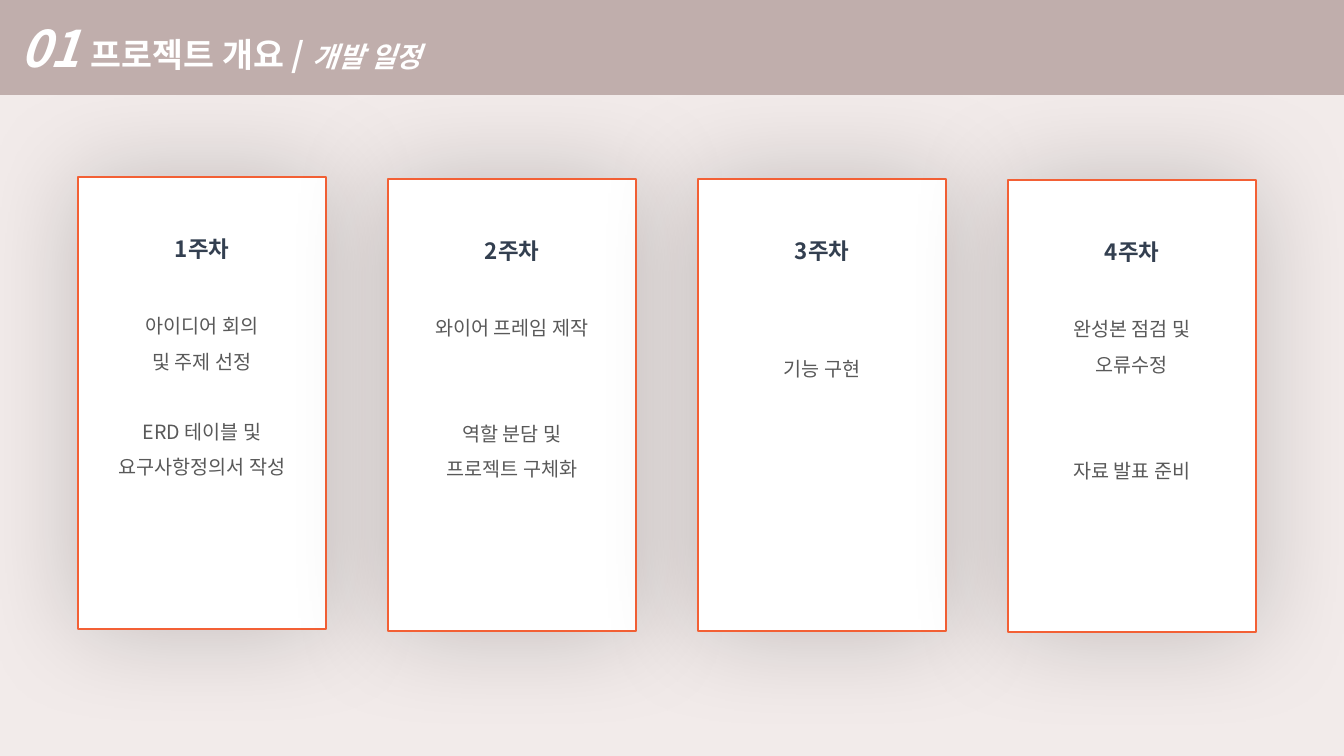
from lxml.etree import SubElement
from pptx import Presentation
from pptx.dml.color import RGBColor
from pptx.enum.shapes import MSO_SHAPE
from pptx.enum.text import MSO_ANCHOR, PP_ALIGN
from pptx.oxml.ns import qn
from pptx.util import Pt

PX = 914400 / 100.8
FONT = "Noto Sans CJK KR"


def color(value):
    return RGBColor.from_string(value)


def add_text(para, text, size, ink, bold=False, italic=False):
    span = para.add_run()
    span.text = text
    span.font.size = Pt(size)
    span.font.bold = bold
    span.font.italic = italic
    span.font.color.rgb = color(ink)
    span.font.name = FONT
    SubElement(span.font._element, qn("a:ea"), typeface=FONT)


deck = Presentation()
deck.slide_width = round(1344 * PX)
deck.slide_height = round(756 * PX)
page = deck.slides.add_slide(deck.slide_layouts[6])
page.background.fill.solid()
page.background.fill.fore_color.rgb = color("F2EBEA")

card_left, card_pitch, card_width, card_height = 78, 310, 248, 452
heading_offset = 40
weeks = [
    (177, "1주차", [("아이디어 회의", 28.8), ("및 주제 선정", 0),
                  ("ERD 테이블 및", 25.2), ("요구사항정의서 작성", 0)]),
    (179, "2주차", [("와이어 프레임 제작", 28.8), ("역할 분담 및", 50.4), ("프로젝트 구체화", 0)]),
    (179, "3주차", [("기능 구현", 57.6)]),
    (180, "4주차", [("완성본 점검 및", 28.8), ("오류수정", 0), ("자료 발표 준비", 50.4)]),
]

for index, (top, heading, tasks) in enumerate(weeks):
    left = card_left + index * card_pitch
    card = page.shapes.add_shape(
        MSO_SHAPE.RECTANGLE, round(left * PX), round(top * PX),
        round(card_width * PX), round(card_height * PX))
    card.fill.solid()
    card.fill.fore_color.rgb = color("FFFFFF")
    card.line.color.rgb = color("F36035")
    card.line.width = Pt(1)
    card.shadow.inherit = False
    effects = card._element.spPr.find(qn("a:effectLst"))
    glow = SubElement(effects, qn("a:outerShdw"), blurRad=str(Pt(76)), dist="0",
                      dir="0", algn="ctr", rotWithShape="0")
    shade = SubElement(glow, qn("a:srgbClr"), val="000000")
    SubElement(shade, qn("a:alpha"), val="20000")

    box = page.shapes.add_textbox(
        round(left * PX), round((top + heading_offset) * PX),
        round(card_width * PX), round((card_height - heading_offset) * PX))
    frame = box.text_frame
    frame.word_wrap = True
    para = frame.paragraphs[0]
    para.alignment = PP_ALIGN.CENTER
    para.line_spacing = 1.5
    add_text(para, heading, size=16, ink="333F50", bold=True)
    for task, gap in tasks:
        para = frame.add_paragraph()
        para.alignment = PP_ALIGN.CENTER
        para.line_spacing = 1.5
        para.space_before = Pt(gap)
        add_text(para, task, size=14, ink="595959")

banner = page.shapes.add_shape(MSO_SHAPE.RECTANGLE, 0, 0, deck.slide_width, round(95 * PX))
banner.fill.solid()
banner.fill.fore_color.rgb = color("C0AEAC")
banner.line.fill.background()
banner.shadow.inherit = False
banner.text_frame.word_wrap = True
banner.text_frame.vertical_anchor = MSO_ANCHOR.MIDDLE
banner.text_frame.margin_left = round(20 * PX)
title = banner.text_frame.paragraphs[0]
title.alignment = PP_ALIGN.LEFT
add_text(title, "01 ", size=36, ink="FFFFFF", bold=True, italic=True)
add_text(title, "프로젝트 개요 / ", size=24, ink="FFFFFF", bold=True)
add_text(title, "개발 일정", size=20, ink="FFFFFF", bold=True, italic=True)

deck.save("out.pptx")
